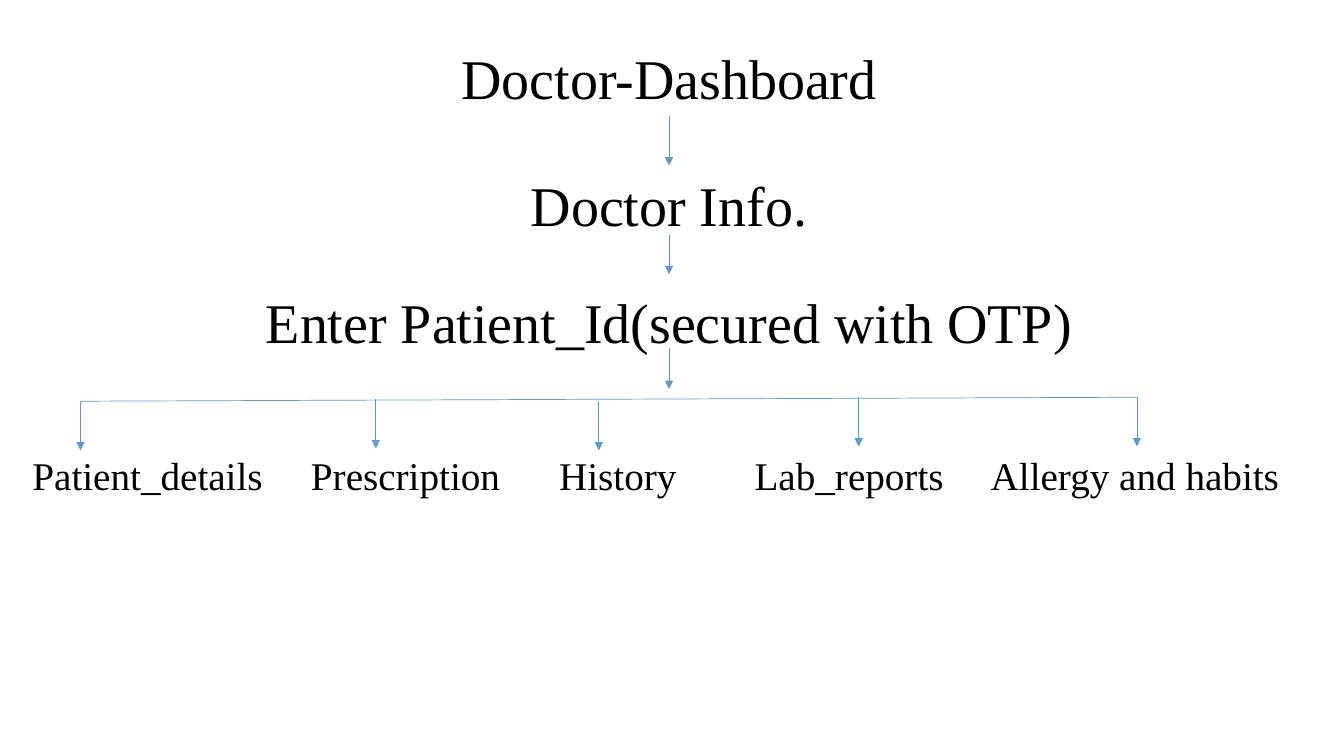
from lxml import etree
from pptx import Presentation
from pptx.dml.color import RGBColor
from pptx.enum.shapes import MSO_CONNECTOR
from pptx.enum.text import MSO_ANCHOR, MSO_AUTO_SIZE, PP_ALIGN
from pptx.oxml.ns import qn
from pptx.util import Cm, Pt

STRAIGHT = MSO_CONNECTOR.STRAIGHT
TOP = MSO_ANCHOR.TOP
GROW = MSO_AUTO_SIZE.SHAPE_TO_FIT_TEXT
CENTER = PP_ALIGN.CENTER

FONT = "Times New Roman"
BLACK = "000000"
BLUE = "5B9BD5"
HEADING_LEFT, HEADING_WIDTH, HEADING_HEIGHT = 0.76, 32.2, 1.95
MIDDLE = HEADING_LEFT + HEADING_WIDTH / 2
LABEL_TOP, LABEL_HEIGHT = 11.25, 1.45
BRANCH_LENGTH = 1.24


def write_text(shape, left, top, width, height, text, size):
    shape.left, shape.top = Cm(left), Cm(top)
    shape.width, shape.height = Cm(width), Cm(height)
    frame = shape.text_frame
    frame.word_wrap = True
    frame.auto_size = GROW
    frame.vertical_anchor = TOP
    frame.margin_left = frame.margin_right = Cm(0)
    paragraph = frame.paragraphs[0]
    paragraph.alignment = CENTER
    run = paragraph.add_run()
    run.text = text
    run.font.name = FONT
    run.font.size = Pt(size)
    run.font.color.rgb = RGBColor.from_string(BLACK)


def draw_line(start_x, start_y, end_x, end_y, arrow=True):
    connector = slide.shapes.add_connector(
        STRAIGHT, Cm(start_x), Cm(start_y), Cm(end_x), Cm(end_y))
    connector.line.color.rgb = RGBColor.from_string(BLUE)
    connector.line.width = Pt(0.5)
    if arrow:
        line = connector.line._get_or_add_ln()
        etree.SubElement(line, qn("a:tailEnd"), type="triangle")
    etree.SubElement(connector._element.spPr, qn("a:effectLst"))
    return connector


presentation = Presentation()
presentation.slide_width = Cm(33.87)
presentation.slide_height = Cm(19.05)
slide = presentation.slides.add_slide(presentation.slide_layouts[5])

headings = [
    ("Doctor-Dashboard", 0.97),
    ("Doctor Info.", 4.17),
    ("Enter Patient_Id(secured with OTP)", 7.11),
]
heading_shapes = []
for text, top in headings:
    if heading_shapes:
        shape = slide.shapes.add_textbox(0, 0, 0, 0)
    else:
        shape = slide.shapes.title
    write_text(shape, HEADING_LEFT, top, HEADING_WIDTH, HEADING_HEIGHT, text, 40)
    heading_shapes.append(shape)

first_arrow = draw_line(MIDDLE, 2.92, MIDDLE, 4.17)
first_arrow.begin_connect(heading_shapes[0], 2)
first_arrow.end_connect(heading_shapes[1], 0)
for start, end in [(5.92, 6.91), (8.76, 9.8)]:
    draw_line(MIDDLE, start, MIDDLE, end)

branches = [
    ("Patient_details", 3.72, 6.2, 2.03, 10.11),
    ("Prescription", 10.22, 5.2, 9.47, 10.06),
    ("History", 15.57, 3.4, 15.09, 10.11),
    ("Lab_reports", 21.4, 5.2, 21.64, 10.01),
    ("Allergy and habits", 28.6, 7.8, 28.65, 10.01),
]
draw_line(*branches[0][3:], *branches[-1][3:], arrow=False)
for text, center, width, arrow_x, arrow_top in branches:
    label = slide.shapes.add_textbox(0, 0, 0, 0)
    write_text(label, center - width / 2, LABEL_TOP, width, LABEL_HEIGHT, text, 28)
    draw_line(arrow_x, arrow_top, arrow_x, arrow_top + BRANCH_LENGTH)

presentation.save("out.pptx")
